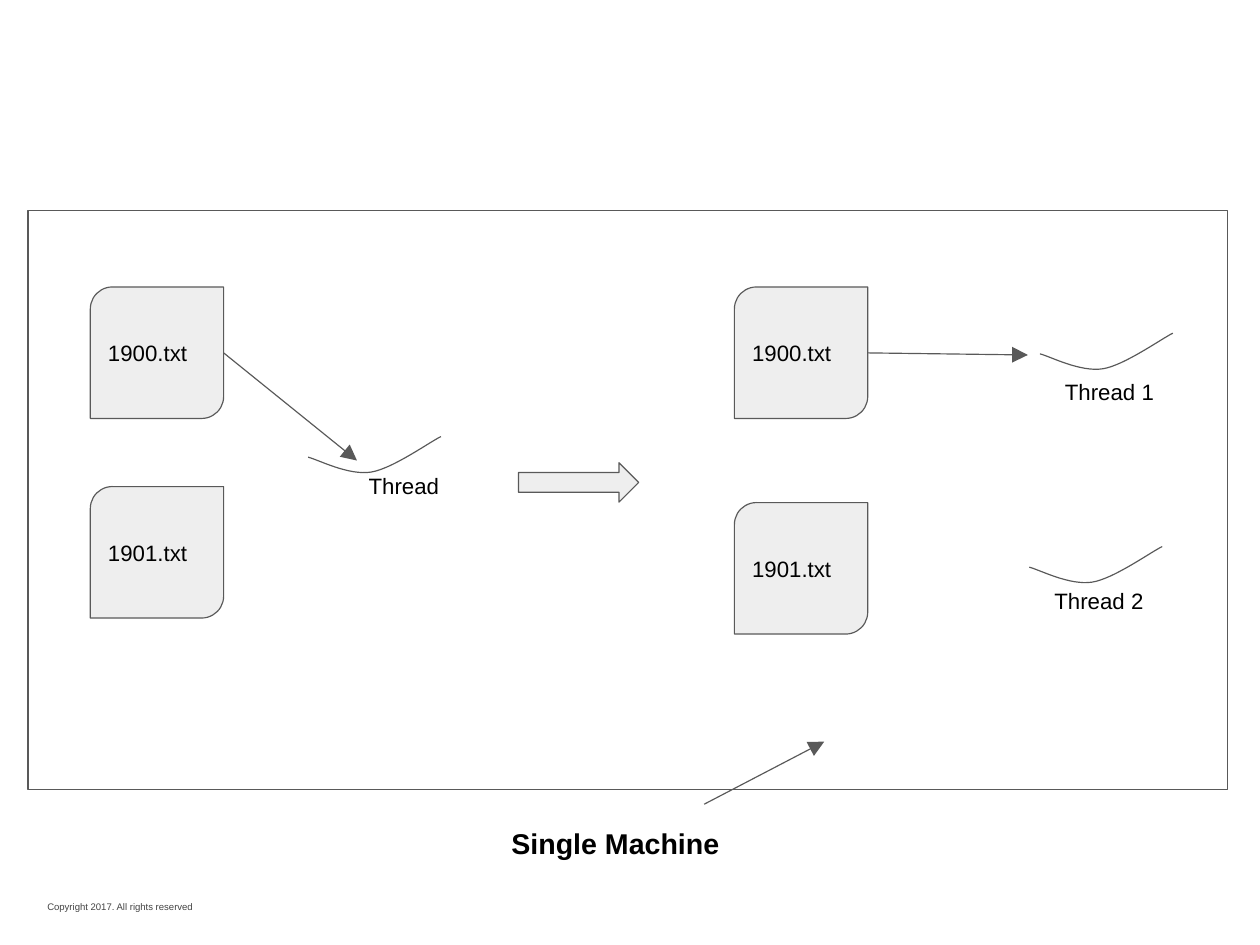
import pptx
import pptx.dml.color
import pptx.enum.shapes
import pptx.enum.text
import pptx.oxml
import pptx.oxml.ns
import pptx.util

Pt = pptx.util.Pt
MSO_SHAPE = pptx.enum.shapes.MSO_SHAPE
MSO_ANCHOR = pptx.enum.text.MSO_ANCHOR
COLORS = {"line": "595959", "fill": "EEEEEE", "text": "000000", "copyright": "434343"}
INSET = 7.2


def rgb(name):
    return pptx.dml.color.RGBColor.from_string(COLORS[name])


def write(shape, text, size, color="text", bold=False, anchor=MSO_ANCHOR.TOP):
    frame = shape.text_frame
    frame.word_wrap = True
    frame.vertical_anchor = anchor
    frame.margin_left = frame.margin_right = Pt(INSET)
    frame.margin_top = frame.margin_bottom = Pt(INSET)
    paragraph = frame.paragraphs[0]
    paragraph.alignment = pptx.enum.text.PP_ALIGN.LEFT
    run = paragraph.add_run()
    run.text = text
    run.font.name = "Arial"
    run.font.size = Pt(size)
    run.font.bold = bold
    run.font.color.rgb = rgb(color)


deck = pptx.Presentation()
deck.slide_width, deck.slide_height = Pt(793.7), Pt(595.28)
slide = deck.slides.add_slide(deck.slide_layouts[6])
shapes = slide.shapes

# Copyright line
copyright_line = shapes.add_textbox(Pt(22.7), Pt(560.2), Pt(194.4), Pt(21.6))
write(copyright_line, "Copyright 2017. All rights reserved", 6, "copyright",
      anchor=MSO_ANCHOR.MIDDLE)

# Machine frame, with the block arrow between its two halves
machine = shapes.add_shape(MSO_SHAPE.RECTANGLE, Pt(17.6), Pt(132.5), Pt(755.7), Pt(365))
machine.fill.background()
step = shapes.add_shape(MSO_SHAPE.RIGHT_ARROW, Pt(326.6), Pt(291.5), Pt(75.7), Pt(24.8))
step.fill.solid()
step.fill.fore_color.rgb = rgb("fill")
outlined = [machine, step]

# Input files
for name, left, top in [
    ("1900.txt", 56.9, 180.8),
    ("1901.txt", 56.9, 306.5),
    ("1900.txt", 462.6, 180.8),
    ("1901.txt", 462.6, 316.6),
]:
    file_box = shapes.add_shape(
        MSO_SHAPE.ROUND_2_DIAG_RECTANGLE, Pt(left), Pt(top), Pt(84), Pt(82.8))
    file_box.adjustments[0] = 0.167
    file_box.adjustments[1] = 0
    file_box.fill.solid()
    file_box.fill.fore_color.rgb = rgb("fill")
    write(file_box, name, 14, anchor=MSO_ANCHOR.MIDDLE)
    outlined.append(file_box)

# Threads: two joined Bezier curves, as offsets from the start
THREAD_CURVES = [
    [(0, 0), (6.5, 1.6), (25.2, 11.6), (39.6, 9.4)],
    [(39.6, 9.4), (53.3, 7.2), (76.3, -9.4), (83.7, -13)],
]
STEPS = 16
for x, y in [(194.1, 288), (655.1, 222.9), (648.4, 357.3)]:
    points = []
    for curve in THREAD_CURVES:
        for i in range(1, STEPS + 1):
            t = i / STEPS
            weights = [(1 - t) ** 3, 3 * t * (1 - t) ** 2, 3 * t * t * (1 - t), t ** 3]
            dx = sum(w * p[0] for w, p in zip(weights, curve))
            dy = sum(w * p[1] for w, p in zip(weights, curve))
            points.append((Pt(x + dx), Pt(y + dy)))
    builder = shapes.build_freeform(Pt(x), Pt(y), scale=1.0)
    builder.add_line_segments(points, close=False)
    thread = builder.convert_to_shape()
    thread.fill.background()
    outlined.append(thread)

for shape in outlined:
    shape.shadow.inherit = False
    shape.line.color.rgb = rgb("line")
    shape.line.width = Pt(0.75)

# Arrows from files to threads, and from the caption to the machine
for x1, y1, x2, y2 in [
    (140.9, 222.3, 224.9, 290.1),
    (546.6, 222.3, 647.5, 223.6),
    (443.6, 506.6, 519.2, 467.2),
]:
    arrow = shapes.add_connector(
        pptx.enum.shapes.MSO_CONNECTOR.STRAIGHT, Pt(x1), Pt(y1), Pt(x2), Pt(y2))
    arrow.line.color.rgb = rgb("line")
    arrow.line.width = Pt(0.75)
    properties = arrow.element.spPr
    properties.get_or_add_ln().append(pptx.oxml.parse_xml(
        f'<a:tailEnd {pptx.oxml.ns.nsdecls("a")} type="triangle" w="lg" len="lg"/>'))
    properties.append(
        pptx.oxml.parse_xml(f'<a:effectLst {pptx.oxml.ns.nsdecls("a")}/>'))

# Labels
for text, left, top, width, size, bold in [
    ("Thread", 225.1, 290.1, 66.2, 14, False),
    ("Thread 1", 663.7, 231, 84.2, 14, False),
    ("Thread 2", 657.1, 362.5, 84.2, 14, False),
    ("Single Machine", 315.1, 513.1, 163.4, 18, True),
]:
    label = shapes.add_textbox(Pt(left), Pt(top), Pt(width), Pt(45.4))
    write(label, text, size, bold=bold)

deck.save("out.pptx")
